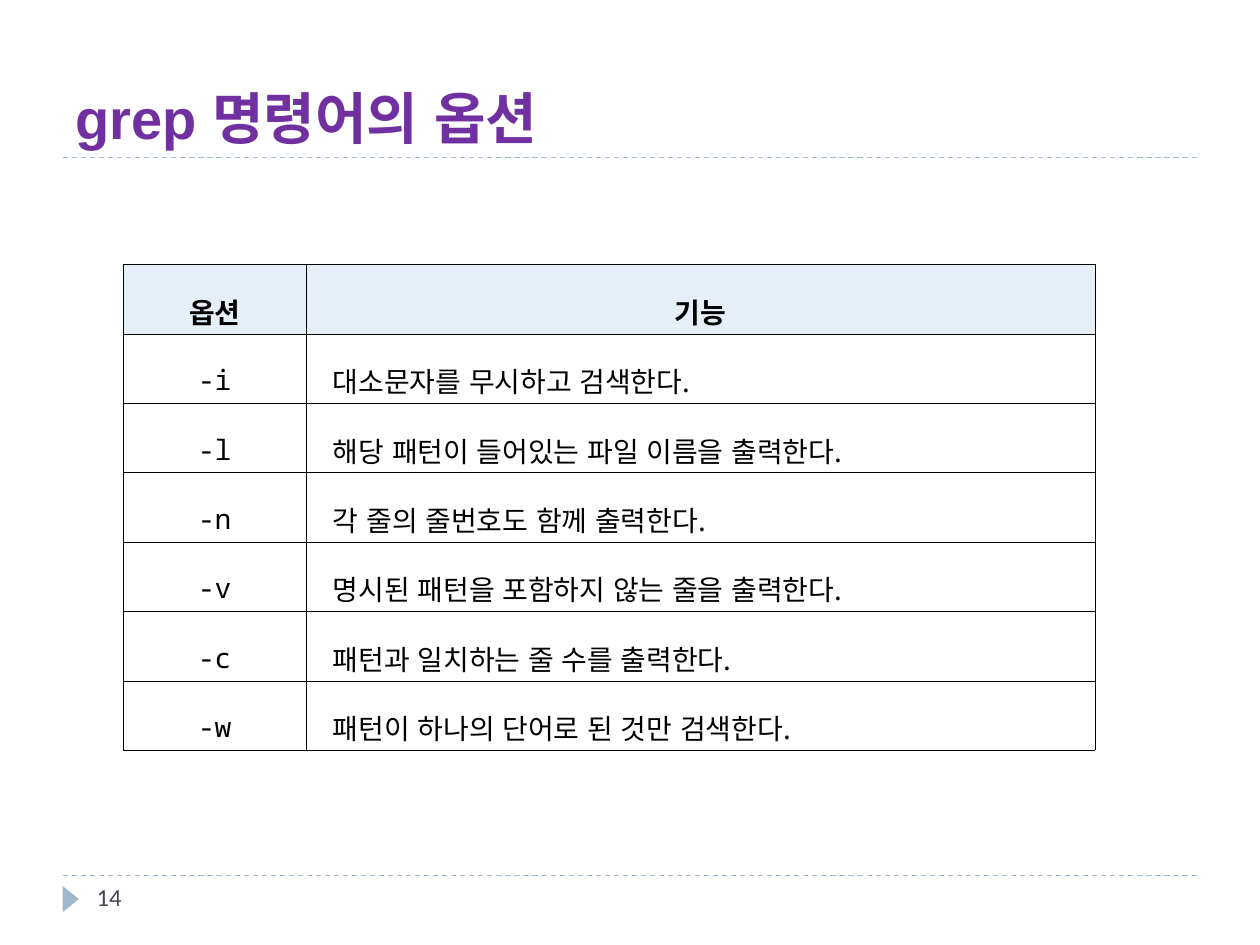
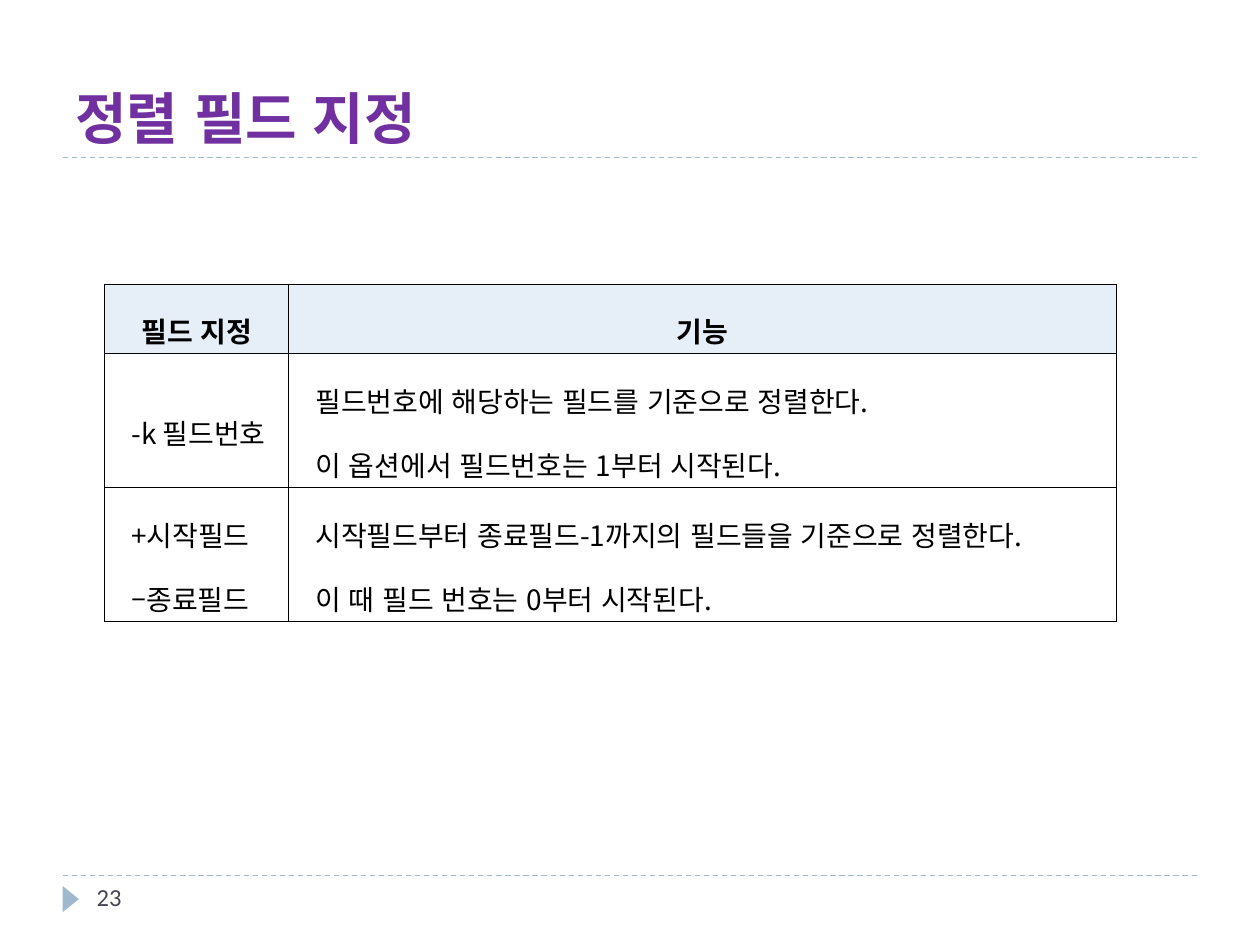
from dataclasses import dataclass

import lxml.etree
import pptx
import pptx.dml.color
import pptx.enum.dml
import pptx.enum.lang
import pptx.enum.shapes
import pptx.enum.text
import pptx.oxml.ns
import pptx.util

Cm = pptx.util.Cm
Pt = pptx.util.Pt
Align = pptx.enum.text.PP_ALIGN
Anchor = pptx.enum.text.MSO_ANCHOR
qn = pptx.oxml.ns.qn


@dataclass(frozen=True)
class Theme:
    purple: str = "7030A0"
    rule: str = "9FB8CD"
    ink: str = "000000"
    muted: str = "464653"
    header: str = "E6EEF7"
    title_font: str = "Arial"
    body_font: str = "Calibri"
    symbol_font: str = "Noto Sans CJK KR"
    code_font: str = "Noto Sans Mono"
    title_size: int = 32
    body_size: int = 16
    number_size: int = 14
    rule_width: float = 0.75
    border_width: float = 0.28
    line_spacing: float = 1.6


THEME = Theme()


@dataclass(frozen=True)
class Span:
    text: str
    font: str = THEME.body_font


@dataclass(frozen=True)
class CellText:
    lines: list[list[Span]]
    align: Align
    indent: float = 0
    space_before: float = 0
    is_header: bool = False


@dataclass(frozen=True)
class Grid:
    left: float
    top: float
    columns: list[float]
    rows: list[float]
    cells: list[list[CellText]]


@dataclass(frozen=True)
class Lesson:
    title: str
    number: int
    grid: Grid


def colour(value: str) -> pptx.dml.color.RGBColor:
    return pptx.dml.color.RGBColor.from_string(value)


def symbol(text: str) -> Span:
    return Span(text, THEME.symbol_font)


def header(text: str) -> CellText:
    return CellText([[Span(text)]], Align.CENTER, is_header=True)


def option(flag: str) -> CellText:
    return CellText([[Span(flag, THEME.code_font)]], Align.CENTER, space_before=4.3)


def meaning(text: str) -> CellText:
    return CellText([[Span(text), symbol(".")]], Align.LEFT, 0.36, 4.3)


def field_text(*lines: list[Span]) -> CellText:
    return CellText(list(lines), Align.JUSTIFY, 0.36)


def add_span(para, span: Span, size: int, ink: str, bold: bool = False) -> None:
    run = para.add_run()
    run.text = span.text
    run.font.name = span.font
    run.font.size = Pt(size)
    run.font.bold = bold
    run.font.color.rgb = colour(ink)
    run.font.language_id = pptx.enum.lang.MSO_LANGUAGE_ID.KOREAN


def add_rule(page, height: float) -> None:
    rule = page.shapes.add_connector(
        pptx.enum.shapes.MSO_CONNECTOR.STRAIGHT,
        Cm(1.27), Cm(height), Cm(24.13), Cm(height))
    rule.line.color.rgb = colour(THEME.rule)
    rule.line.width = Pt(THEME.rule_width)
    rule.line.dash_style = pptx.enum.dml.MSO_LINE.DASH
    lxml.etree.SubElement(rule._element.spPr, qn("a:effectLst"))


def add_marker(page) -> None:
    marker = page.shapes.add_shape(
        pptx.enum.shapes.MSO_SHAPE.ISOSCELES_TRIANGLE,
        Cm(1.16), Cm(17.96), Cm(0.53), Cm(0.33))
    marker.rotation = 90
    marker.shadow.inherit = False
    marker.fill.solid()
    marker.fill.fore_color.rgb = colour(THEME.rule)
    marker.line.fill.background()


def add_label(page, area: tuple[float, float, float, float], span: Span,
              size: int, ink: str, bold: bool, anchor: Anchor) -> None:
    box = page.shapes.add_textbox(*(Cm(length) for length in area))
    frame = box.text_frame
    frame.word_wrap = True
    frame.vertical_anchor = anchor
    add_span(frame.paragraphs[0], span, size, ink, bold)


def add_borders(cell) -> None:
    properties = cell._tc.get_or_add_tcPr()
    for side in ("a:lnL", "a:lnR", "a:lnT", "a:lnB"):
        line = lxml.etree.SubElement(
            properties, qn(side), w=str(int(Pt(THEME.border_width))))
        fill = lxml.etree.SubElement(line, qn("a:solidFill"))
        lxml.etree.SubElement(fill, qn("a:srgbClr"), val=THEME.ink)


def fill_cell(cell, content: CellText) -> None:
    add_borders(cell)
    if content.is_header:
        cell.fill.solid()
        cell.fill.fore_color.rgb = colour(THEME.header)
    else:
        cell.fill.background()
    cell.vertical_anchor = Anchor.MIDDLE
    cell.margin_left = cell.margin_right = Cm(0.18)
    cell.margin_top = cell.margin_bottom = Cm(0.05)
    frame = cell.text_frame
    for index, line in enumerate(content.lines):
        para = frame.add_paragraph() if index else frame.paragraphs[0]
        para.alignment = content.align
        para.line_spacing = THEME.line_spacing
        para.space_before = Pt(content.space_before)
        properties = para._p.get_or_add_pPr()
        properties.set("marL", str(int(Cm(content.indent))))
        properties.set("indent", "0")
        for span in line:
            add_span(para, span, THEME.body_size, THEME.ink, content.is_header)


def add_grid(page, grid: Grid) -> None:
    table = page.shapes.add_table(
        len(grid.rows), len(grid.columns), Cm(grid.left), Cm(grid.top),
        Cm(sum(grid.columns)), Cm(sum(grid.rows))).table
    table.first_row = False
    table.horz_banding = False
    for column, width in zip(table.columns, grid.columns):
        column.width = Cm(width)
    for row, height, contents in zip(table.rows, grid.rows, grid.cells):
        row.height = Cm(height)
        for cell, content in zip(row.cells, contents):
            fill_cell(cell, content)


def add_lesson(deck, lesson: Lesson) -> None:
    page = deck.slides.add_slide(deck.slide_layouts[6])
    for height in (17.65, 3.17):
        add_rule(page, height)
    add_marker(page)
    add_label(page, (1.27, 0.43, 22.86, 2.74), Span(lesson.title, THEME.title_font),
              THEME.title_size, THEME.purple, True, Anchor.BOTTOM)
    add_label(page, (1.7, 17.65, 5.5, 1.02), Span(str(lesson.number)),
              THEME.number_size, THEME.muted, False, Anchor.TOP)
    add_grid(page, lesson.grid)


OPTIONS = {
    "-i": "대소문자를 무시하고 검색한다",
    "-l": "해당 패턴이 들어있는 파일 이름을 출력한다",
    "-n": "각 줄의 줄번호도 함께 출력한다",
    "-v": "명시된 패턴을 포함하지 않는 줄을 출력한다",
    "-c": "패턴과 일치하는 줄 수를 출력한다",
    "-w": "패턴이 하나의 단어로 된 것만 검색한다",
}

GREP_OPTIONS = Grid(
    2.49, 5.33, [3.68, 15.9], [1.4] * (len(OPTIONS) + 1),
    [[header("옵션"), header("기능")]]
    + [[option(flag), meaning(text)] for flag, text in OPTIONS.items()])

SORT_FIELDS = Grid(
    2.11, 5.72, [3.71, 16.69], [1.4, 2.7, 2.7],
    [
        [header("필드 지정"), header("기능")],
        [
            field_text([symbol("-k "), Span("필드번호")]),
            field_text(
                [Span("필드번호에 해당하는 필드를 기준으로 정렬한다"), symbol(". ")],
                [Span("이 옵션에서 필드번호는 "), symbol("1"),
                 Span("부터 시작된다"), symbol(".")]),
        ],
        [
            field_text([symbol("+"), Span("시작필드 ")], [Span("–종료필드")]),
            field_text(
                [Span("시작필드부터 종료필드"), symbol("-1"),
                 Span("까지의 필드들을 기준으로 정렬한다"), symbol(".")],
                [Span("이 때 필드 번호는 "), symbol("0"),
                 Span("부터 시작된다"), symbol(".")]),
        ],
    ])

LESSONS = [
    Lesson("grep 명령어의 옵션", 14, GREP_OPTIONS),
    Lesson("정렬 필드 지정", 23, SORT_FIELDS),
]


def main() -> None:
    deck = pptx.Presentation()
    deck.slide_width = Cm(25.4)
    deck.slide_height = Cm(19.05)
    for lesson in LESSONS:
        add_lesson(deck, lesson)
    deck.save("out.pptx")


if __name__ == "__main__":
    main()
